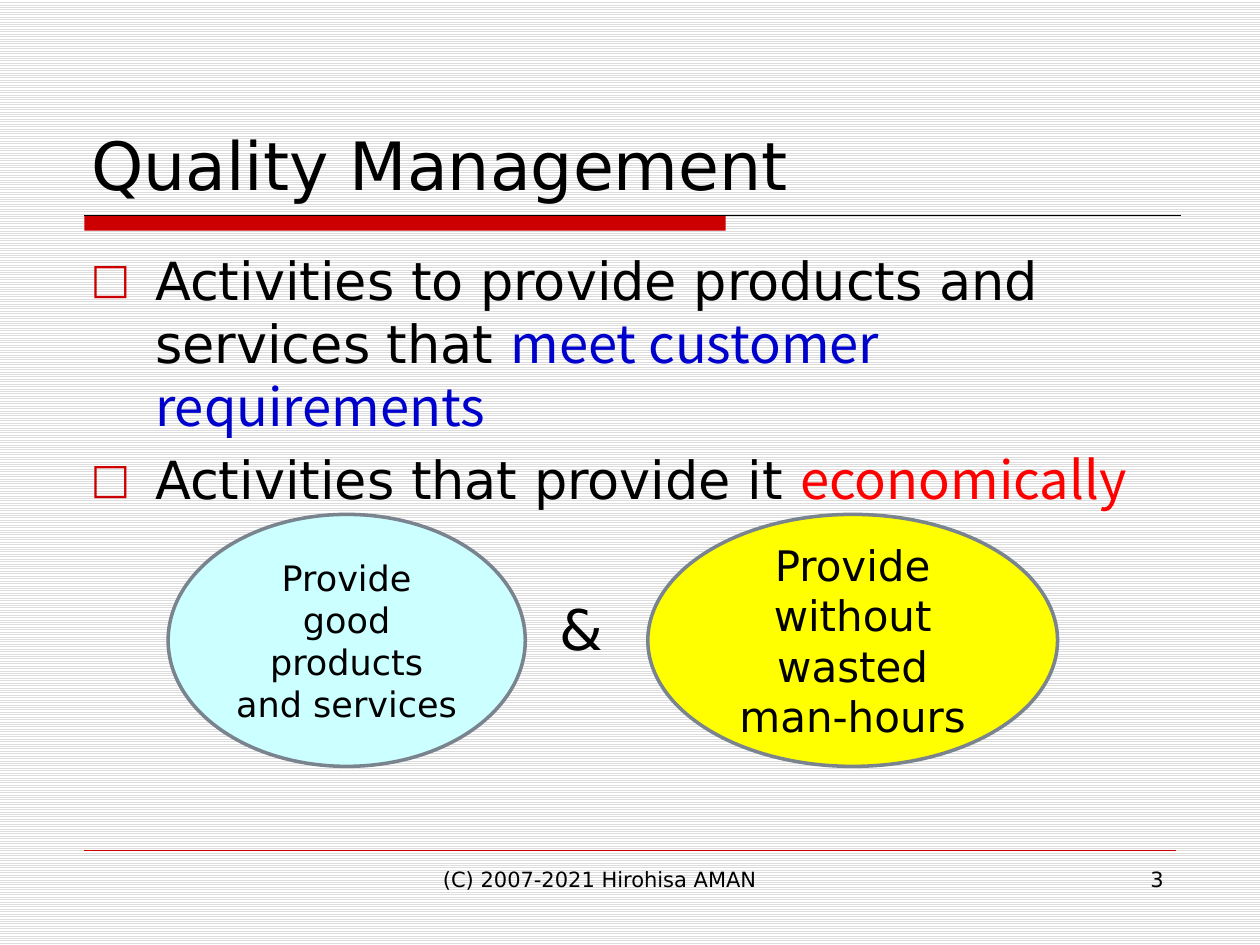
import pptx
import pptx.util
import pptx.dml.color
import pptx.enum.dml
import pptx.enum.shapes
import pptx.enum.text
import pptx.oxml.ns
import lxml.etree

Cm = pptx.util.Cm
Pt = pptx.util.Pt
Align = pptx.enum.text.PP_ALIGN
Anchor = pptx.enum.text.MSO_ANCHOR

COLORS = {
    "text": "000000",
    "accent": "CC0000",
    "customer": "0000CC",
    "economy": "FF0000",
    "good": "CCFFFF",
    "lean": "FFFF00",
    "outline": "79848F",
    "stripe": "DDDDDD",
    "paper": "FFFFFF",
}
MAIN_FONT = "DejaVu Sans"
EMPHASIS_FONT = "Noto Sans CJK JP"


def color(name):
    return pptx.dml.color.RGBColor.from_string(COLORS[name])


def add_run(paragraph, text, size=12, font=MAIN_FONT, fill="text"):
    run = paragraph.add_run()
    run.text = text
    run.font.size = Pt(size)
    run.font.name = font
    run.font.color.rgb = color(fill)
    properties = run._r.get_or_add_rPr()
    east_asian = lxml.etree.SubElement(properties, pptx.oxml.ns.qn("a:ea"))
    east_asian.set("typeface", font)


class SlideBuilder:
    def __init__(self, slide):
        self.slide = slide

    def background(self):
        fill = self.slide.background.fill
        fill.patterned()
        fill.pattern = pptx.enum.dml.MSO_PATTERN.LIGHT_HORIZONTAL
        fill.fore_color.rgb = color("stripe")
        fill.back_color.rgb = color("paper")

    def line(self, left, right, top, stroke, width):
        connector = self.slide.shapes.add_connector(
            pptx.enum.shapes.MSO_CONNECTOR.STRAIGHT, Cm(left), Cm(top), Cm(right), Cm(top))
        connector.line.color.rgb = color(stroke)
        connector.line.width = Pt(width)
        lxml.etree.SubElement(connector._element.spPr, pptx.oxml.ns.qn("a:effectLst"))

    def shape(self, kind, box, fill, outline=None):
        shape = self.slide.shapes.add_shape(kind, *map(Cm, box))
        shape.shadow.inherit = False
        shape.fill.solid()
        shape.fill.fore_color.rgb = color(fill)
        if outline:
            shape.line.color.rgb = color(outline)
            shape.line.width = Pt(2)
        else:
            shape.line.fill.background()
        return shape

    def bar(self, box, fill):
        self.shape(pptx.enum.shapes.MSO_SHAPE.RECTANGLE, box, fill)

    def ellipse(self, box, text, fill, size):
        shape = self.shape(pptx.enum.shapes.MSO_SHAPE.OVAL, box, fill, "outline")
        frame = shape.text_frame
        frame.word_wrap = True
        frame.vertical_anchor = Anchor.MIDDLE
        frame.paragraphs[0].alignment = Align.CENTER
        add_run(frame.paragraphs[0], text, size=size)

    def frame(self, box, anchor=Anchor.TOP, wrap=True):
        frame = self.slide.shapes.add_textbox(*map(Cm, box)).text_frame
        frame.word_wrap = wrap
        frame.vertical_anchor = anchor
        return frame

    def text(self, box, text, size, align=Align.LEFT, **layout):
        paragraph = self.frame(box, **layout).paragraphs[0]
        paragraph.alignment = align
        add_run(paragraph, text, size=size)

    def bullets(self, box, items, size):
        frame = self.frame(box)
        for index, (lead, emphasis, fill) in enumerate(items):
            paragraph = frame.add_paragraph() if index else frame.paragraphs[0]
            paragraph.space_before = Pt(size * 0.2)
            paragraph.line_spacing = Pt(size * 1.2)
            self.bullet_mark(paragraph)
            add_run(paragraph, lead, size=size)
            add_run(paragraph, emphasis, size=size, font=EMPHASIS_FONT, fill=fill)

    def bullet_mark(self, paragraph):
        qn = pptx.oxml.ns.qn
        properties = paragraph._p.get_or_add_pPr()
        properties.set("marL", str(Cm(1.3)))
        properties.set("indent", str(-Cm(1.3)))
        bullet_color = lxml.etree.SubElement(properties, qn("a:buClr"))
        lxml.etree.SubElement(bullet_color, qn("a:srgbClr")).set("val", COLORS["accent"])
        lxml.etree.SubElement(properties, qn("a:buSzPct")).set("val", "80000")
        lxml.etree.SubElement(properties, qn("a:buFont")).set("typeface", MAIN_FONT)
        lxml.etree.SubElement(properties, qn("a:buChar")).set("char", "□")


def main():
    presentation = pptx.Presentation()
    presentation.slide_width = Cm(25.4)
    presentation.slide_height = Cm(19.05)
    builder = SlideBuilder(presentation.slides.add_slide(presentation.slide_layouts[6]))

    builder.background()
    builder.bar((1.7, 4.34, 12.93, 0.31), "accent")
    builder.line(1.7, 23.8, 4.34, "text", 0.75)
    builder.line(1.7, 23.7, 17.15, "accent", 0.25)

    builder.text((1.59, 0.85, 22.23, 3.39), "Quality Management", 38, anchor=Anchor.BOTTOM)
    builder.bullets((1.58, 4.87, 22.23, 11.86), [
        ("Activities to provide products and services that ",
         "meet customer requirements", "customer"),
        ("Activities that provide it ", "economically", "economy"),
    ], 30)
    builder.text((8.68, 17.35, 8.04, 1.32), "(C) 2007-2021 Hirohisa AMAN", 12)
    builder.text((18.21, 17.35, 5.5, 1.32), "3", 12, align=Align.RIGHT)

    builder.ellipse((3.39, 10.37, 7.2, 5.08), "Provide good products and services", "good", 20)
    builder.ellipse((13.06, 10.37, 8.26, 5.08), "Provide without wasted man-hours", "lean", 24)
    builder.text((11.02, 11.86, 1.65, 1.63), "&", 32, wrap=False)

    presentation.save("out.pptx")


if __name__ == "__main__":
    main()
